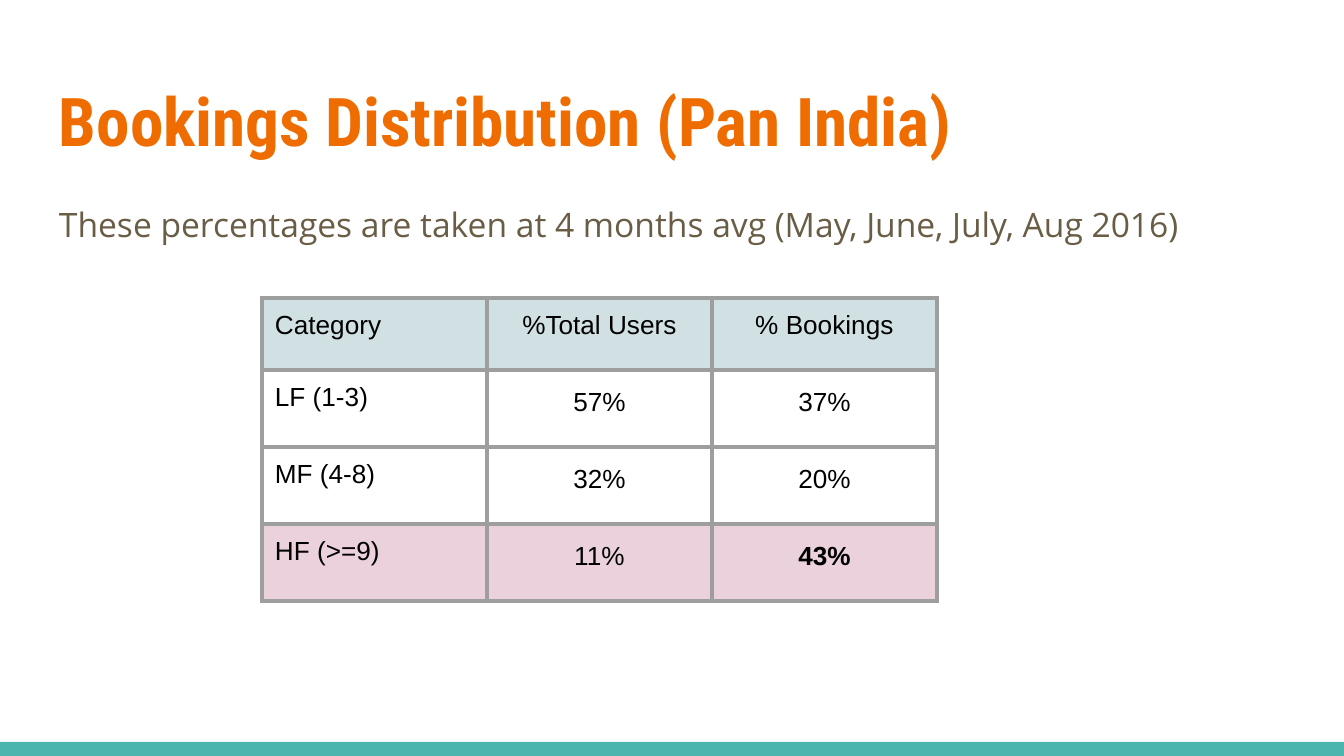
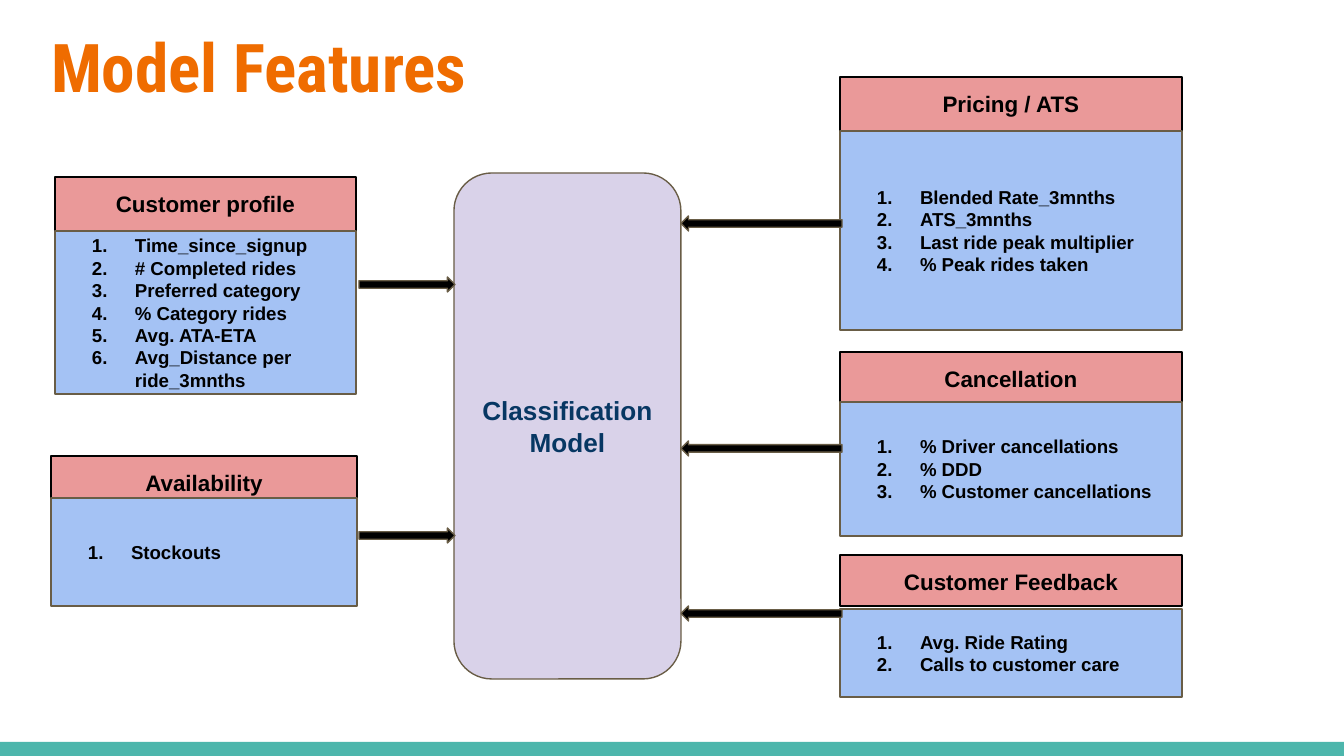
from collections import namedtuple

from lxml import etree
from pptx import Presentation
from pptx.dml.color import RGBColor
from pptx.enum.shapes import MSO_SHAPE
from pptx.enum.text import MSO_ANCHOR, MSO_AUTO_SIZE, PP_ALIGN
from pptx.oxml.ns import qn
from pptx.util import Pt

RECT, ROUNDED = MSO_SHAPE.RECTANGLE, MSO_SHAPE.ROUNDED_RECTANGLE
RIGHT_ARROW, LEFT_ARROW = MSO_SHAPE.RIGHT_ARROW, MSO_SHAPE.LEFT_ARROW
LEFT, CENTER = PP_ALIGN.LEFT, PP_ALIGN.CENTER
TOP, MIDDLE = MSO_ANCHOR.TOP, MSO_ANCHOR.MIDDLE
FIXED_SIZE = MSO_AUTO_SIZE.NONE

EMU_PER_PX = 9144000 / 1344
WIDTH, HEIGHT = 1344, 756
INSET = 13
TITLE_ONLY = 5
HEADING_FONT, BODY_FONT, LABEL_FONT = "Roboto Condensed", "Open Sans", "Arial"
COLORS = {
    "background": "FFFFFF", "band": "4DB6AC", "title": "EF6C00",
    "muted": "695D46", "ink": "000000", "grid": "9E9E9E",
    "table_head": "D0E0E3", "table_accent": "EAD1DC",
    "panel_head": "EA9999", "panel_body": "A4C2F4",
    "model": "D9D2E9", "model_text": "073763",
}

Box = namedtuple("Box", "left top width height")
Style = namedtuple("Style", "size font color bold", defaults=(LABEL_FONT, "ink", False))
Panel = namedtuple("Panel", "heading features left top width head_height gap body_height")

TITLE_STYLE = Style(36, HEADING_FONT, "title", True)
NOTE_STYLE = Style(18, BODY_FONT, "muted")
HEADING_STYLE = Style(12, bold=True)
FEATURE_STYLE = Style(10, bold=True)
MODEL_STYLE = Style(14, color="model_text", bold=True)

BOOKINGS = [
    ("Category", "%Total Users", "% Bookings"),
    ("LF (1-3)", "57%", "37%"),
    ("MF (4-8)", "32%", "20%"),
    ("HF (>=9)", "11%", "43%"),
]
ROW_FILLS = ["table_head", None, None, "table_accent"]
HIGHLIGHT = "43%"

PANELS = [
    Panel("Customer profile",
          ["Time_since_signup", "# Completed rides", "Preferred category",
           "% Category rides", "Avg. ATA-ETA", "Avg_Distance per ride_3mnths"],
          55, 177, 301, 54, 0, 163),
    Panel("Availability", ["Stockouts"], 51, 456, 306, 42, 0, 108),
    Panel("Pricing / ATS",
          ["Blended Rate_3mnths", "ATS_3mnths", "Last ride peak multiplier",
           "% Peak rides taken"],
          840, 77, 342, 54, 0, 199),
    Panel("Cancellation",
          ["% Driver cancellations", "% DDD", "% Customer cancellations"],
          840, 352, 342, 50, 0, 134),
    Panel("Customer Feedback", ["Avg. Ride Rating", "Calls to customer care"],
          840, 555, 342, 51, 3, 88),
]


def px(length):
    """Turn a length in px into EMU."""
    return round(length * EMU_PER_PX)


def emu(box):
    """Turn a box in px into EMU lengths."""
    return [px(length) for length in box]


def rgb(name):
    """Look up a named colour."""
    return RGBColor.from_string(COLORS[name])


def add_run(paragraph, text, style):
    """Add one formatted run."""
    run = paragraph.add_run()
    run.text = text
    run.font.size = Pt(style.size)
    run.font.name = style.font
    run.font.bold = style.bold
    run.font.color.rgb = rgb(style.color)


def set_frame(frame, anchor):
    """Give a text frame its insets, wrap and anchor."""
    frame.margin_left = frame.margin_right = px(INSET)
    frame.margin_top = frame.margin_bottom = px(INSET)
    frame.word_wrap = True
    frame.auto_size = FIXED_SIZE
    frame.vertical_anchor = anchor


def number(paragraph):
    """Turn a paragraph into a numbered item with a hanging indent."""
    properties = paragraph._p.get_or_add_pPr()
    properties.set("marL", str(px(67)))
    properties.set("indent", str(px(-43)))
    etree.SubElement(properties, qn("a:buAutoNum"), type="arabicPeriod")


def add_block(slide, preset, box, fill, line=None):
    """Add a filled preset shape without a shadow."""
    block = slide.shapes.add_shape(preset, *emu(box))
    block.shadow.inherit = False
    block.fill.solid()
    block.fill.fore_color.rgb = rgb(fill)
    if line:
        block.line.color.rgb = rgb(line)
        block.line.width = Pt(0.75)
    else:
        block.line.fill.background()
    return block


def start_slide(deck, title, left, top):
    """Add a slide with its bottom band and title."""
    slide = deck.slides.add_slide(deck.slide_layouts[TITLE_ONLY])
    slide.background.fill.solid()
    slide.background.fill.fore_color.rgb = rgb("background")
    add_block(slide, RECT, Box(0, HEIGHT - 14, WIDTH, 14), "band")
    heading = slide.shapes.title
    heading.left, heading.top, heading.width, heading.height = emu(Box(left, top, 1253, 103))
    set_frame(heading.text_frame, TOP)
    paragraph = heading.text_frame.paragraphs[0]
    paragraph.alignment = LEFT
    add_run(paragraph, title, TITLE_STYLE)
    return slide


def add_note(slide, text, box):
    """Add the introductory paragraph."""
    frame = slide.shapes.add_textbox(*emu(box)).text_frame
    set_frame(frame, TOP)
    paragraph = frame.paragraphs[0]
    paragraph.line_spacing = 1.15
    paragraph.space_after = Pt(16)
    add_run(paragraph, text, NOTE_STYLE)


def border(cell):
    """Draw the four borders of a table cell."""
    properties = cell._tc.get_or_add_tcPr()
    for position, side in enumerate(("a:lnL", "a:lnR", "a:lnT", "a:lnB")):
        edge = etree.Element(qn(side), w=str(Pt(2.25)))
        fill = etree.SubElement(edge, qn("a:solidFill"))
        etree.SubElement(fill, qn("a:srgbClr"), val=COLORS["grid"])
        properties.insert(position, edge)


def add_bookings(slide, box, head_height):
    """Add the bookings table, with equal columns and equal body rows."""
    rows, columns = len(BOOKINGS), len(BOOKINGS[0])
    table = slide.shapes.add_table(rows, columns, *emu(box)).table
    table.first_row = table.horz_banding = False
    for column in table.columns:
        column.width = px(box.width / columns)
    for r, (values, fill) in enumerate(zip(BOOKINGS, ROW_FILLS)):
        body_height = (box.height - head_height) / (rows - 1)
        table.rows[r].height = px(body_height if r else head_height)
        for c, value in enumerate(values):
            cell = table.cell(r, c)
            cell.margin_left = cell.margin_right = px(INSET)
            cell.margin_top = cell.margin_bottom = px(INSET)
            if fill:
                cell.fill.solid()
                cell.fill.fore_color.rgb = rgb(fill)
            else:
                cell.fill.background()
            border(cell)
            paragraph = cell.text_frame.paragraphs[0]
            paragraph.alignment = CENTER if c else LEFT
            if r and c:
                paragraph.line_spacing = 1.15
            add_run(paragraph, value, Style(14, bold=value == HIGHLIGHT))


def add_centered(block, text, style, anchor):
    """Write one centred paragraph into a block."""
    set_frame(block.text_frame, anchor)
    paragraph = block.text_frame.paragraphs[0]
    paragraph.alignment = CENTER
    add_run(paragraph, text, style)


def add_panel(slide, panel):
    """Add a feature group: a heading above a numbered list."""
    head_box = Box(panel.left, panel.top, panel.width, panel.head_height)
    body_top = panel.top + panel.head_height + panel.gap
    body_box = Box(panel.left, body_top, panel.width, panel.body_height)
    head = add_block(slide, RECT, head_box, "panel_head", "ink")
    add_centered(head, panel.heading, HEADING_STYLE, TOP)
    frame = add_block(slide, RECT, body_box, "panel_body", "muted").text_frame
    set_frame(frame, MIDDLE)
    for position, feature in enumerate(panel.features):
        paragraph = frame.add_paragraph() if position else frame.paragraphs[0]
        paragraph.alignment = LEFT
        number(paragraph)
        add_run(paragraph, feature, FEATURE_STYLE)


def add_model(slide, box):
    """Add the model block and the arrows that feed it from both sides."""
    model = add_block(slide, ROUNDED, box, "model", "muted")
    model.adjustments[0] = 0.167
    add_centered(model, "Classification Model", MODEL_STYLE, MIDDLE)
    inflows = [
        (RIGHT_ARROW, box.left - 95, 96, (104, 355)),
        (LEFT_ARROW, box.left + box.width, 161, (43, 268, 433)),
    ]
    for preset, left, width, offsets in inflows:
        for offset in offsets:
            add_block(slide, preset, Box(left, box.top + offset, width, 15), "ink", "muted")


def build_distribution(deck):
    """Build the bookings distribution slide."""
    slide = start_slide(deck, "Bookings Distribution (Pan India)", 46, 66)
    add_note(slide, "These percentages are taken at 4 months avg (May, June, July, Aug 2016)",
             Box(46, 185, 1253, 485))
    add_bookings(slide, Box(262, 298, 675, 303), 72)


def build_features(deck):
    """Build the model features slide."""
    slide = start_slide(deck, "Model Features", 38, 12)
    for panel in PANELS:
        add_panel(slide, panel)
    add_model(slide, Box(454, 173, 227, 506))


def main():
    """Build and save the deck."""
    deck = Presentation()
    deck.slide_width, deck.slide_height = px(WIDTH), px(HEIGHT)
    build_distribution(deck)
    build_features(deck)
    deck.save("out.pptx")


if __name__ == "__main__":
    main()
